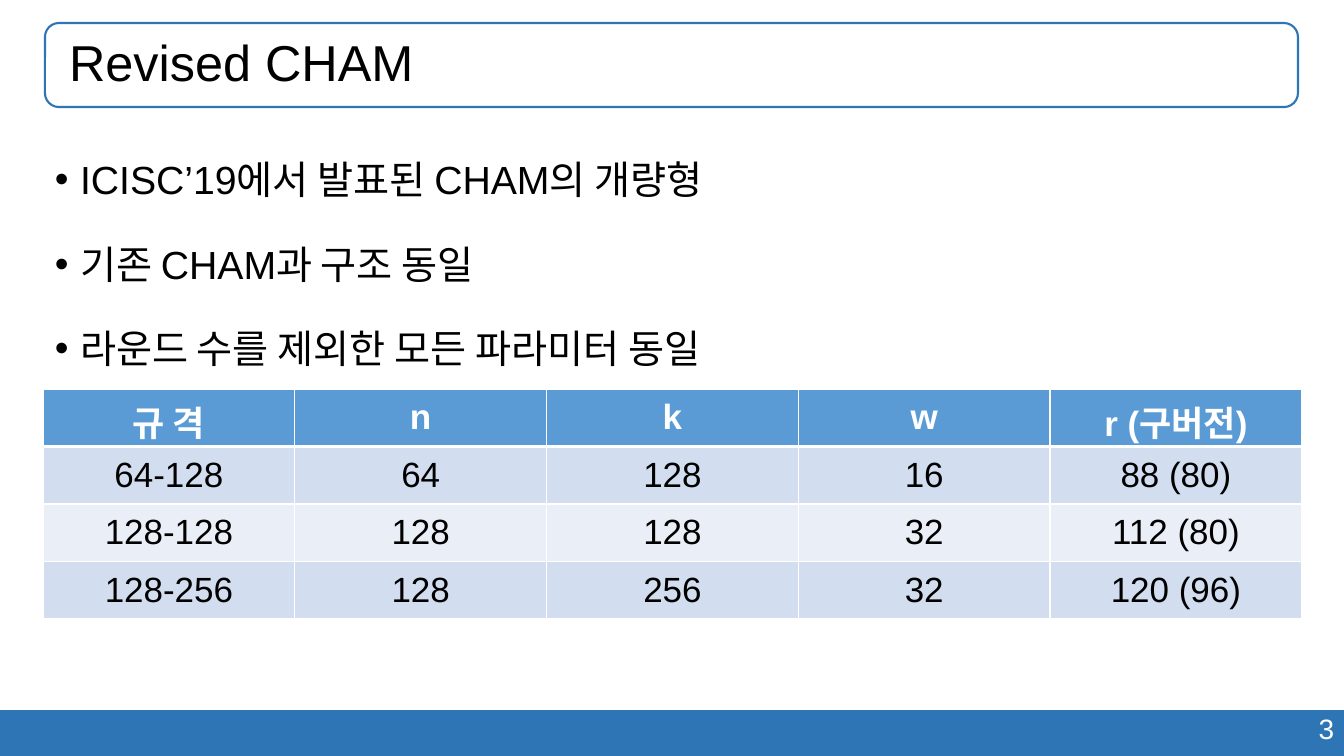
from lxml import etree
from pptx import Presentation, util as u
from pptx.dml.color import RGBColor
from pptx.enum import shapes, text
from pptx.oxml import ns

WIDE, HIGH = 1344, 756
SCALE = 12192000 / WIDE
FONT = "Arial"
BLACK = RGBColor(0, 0, 0)
WHITE = RGBColor(255, 255, 255)
BLUE = RGBColor(0x2E, 0x75, 0xB6)
HEAD = RGBColor(0x5B, 0x9B, 0xD5)
BANDS = [RGBColor(0xD2, 0xDE, 0xEF), RGBColor(0xEA, 0xEF, 0xF7)]

TITLE = "Revised CHAM"
POINTS = [
    "ICISC’19에서 발표된 CHAM의 개량형",
    "기존 CHAM과 구조 동일",
    "라운드 수를 제외한 모든 파라미터 동일",
]
ROWS = [
    ["규 격", "n", "k", "w", "r (구버전)"],
    ["64-128", "64", "128", "16", "88 (80)"],
    ["128-128", "128", "128", "32", "112 (80)"],
    ["128-256", "128", "256", "32", "120 (96)"],
]


def px(size):
    return u.Emu(round(size * SCALE))


def place(box):
    return [px(side) for side in box]


def write(para, words, size, color, bold=False):
    run = para.add_run()
    run.text = words
    font = run.font
    font.name, font.size, font.bold = FONT, u.Pt(size), bold
    font.color.rgb = color


def node(up, tag, **attrs):
    return etree.SubElement(up, ns.qn(tag), attrs)


def panel(slide, kind, box):
    shape = slide.shapes.add_shape(kind, *place(box))
    shape.shadow.inherit = False
    return shape


def footer(slide, box, number):
    left, top, wide, high = box
    bar = panel(slide, shapes.MSO_SHAPE.RECTANGLE, box)
    bar.fill.solid()
    bar.fill.fore_color.rgb = BLUE
    bar.line.fill.background()
    label = slide.shapes.add_textbox(*place((left + wide - 393, top - 3, 393, 44)))
    frame = label.text_frame
    frame.word_wrap = True
    para = frame.paragraphs[0]
    para.alignment = text.PP_ALIGN.RIGHT
    write(para, number, 20, WHITE)


def header(slide, box, words):
    edge = panel(slide, shapes.MSO_SHAPE.ROUNDED_RECTANGLE, box)
    edge.fill.background()
    edge.line.color.rgb = BLUE
    edge.line.width = u.Pt(1.5)
    title = slide.shapes.title
    title.left, title.top, title.width, title.height = place(box)
    tree = title.element.getparent()
    tree.append(title.element)
    frame = title.text_frame
    frame.auto_size = text.MSO_AUTO_SIZE.NONE
    frame.vertical_anchor = text.MSO_ANCHOR.MIDDLE
    frame.margin_left = px(24)
    para = frame.paragraphs[0]
    para.alignment = text.PP_ALIGN.LEFT
    para.line_spacing = 0.9
    write(para, words, 36, BLACK)


def bullets(slide, box, points):
    frame = slide.shapes.add_textbox(*place(box)).text_frame
    frame.word_wrap = True
    for i, words in enumerate(points):
        para = frame.add_paragraph() if i else frame.paragraphs[0]
        para.line_spacing = 1.5
        if i:
            para.space_before = u.Pt(10)
        props = para._p.get_or_add_pPr()
        props.set("marL", str(u.Inches(0.25)))
        props.set("indent", str(-u.Inches(0.25)))
        node(props, "a:buFont", typeface=FONT)
        node(props, "a:buChar", char="•")
        write(para, words, 28, BLACK)


def borders(cell, base):
    props = cell._tc.get_or_add_tcPr()
    for side, size in (("L", 1), ("R", 1), ("T", 1), ("B", base)):
        line = node(props, "a:ln" + side, w=str(u.Pt(size)))
        node(node(line, "a:solidFill"), "a:srgbClr", val=str(WHITE))


def grid(slide, box, rows):
    high = box[3]
    table = slide.shapes.add_table(len(rows), len(rows[0]), *place(box)).table
    for r, row in enumerate(rows):
        table.rows[r].height = px(high / len(rows))
        for c, words in enumerate(row):
            cell = table.cell(r, c)
            borders(cell, 1 if r else 3)
            cell.fill.solid()
            cell.fill.fore_color.rgb = BANDS[(r - 1) % 2] if r else HEAD
            cell.margin_left = cell.margin_right = px(14)
            cell.margin_top = cell.margin_bottom = px(7)
            cell.vertical_anchor = text.MSO_ANCHOR.MIDDLE
            para = cell.text_frame.paragraphs[0]
            para.alignment = text.PP_ALIGN.CENTER
            write(para, words, 25, BLACK if r else WHITE, not r)


def main():
    deck = Presentation()
    deck.slide_width, deck.slide_height = px(WIDE), px(HIGH)
    slide = deck.slides.add_slide(deck.slide_layouts[5])
    footer(slide, (0, 710, WIDE, 46), "3")
    header(slide, (45, 23, 1253, 84), TITLE)
    bullets(slide, (45, 127, 1253, 557), POINTS)
    grid(slide, (43, 389, 1259, 230), ROWS)
    deck.save("out.pptx")


if __name__ == "__main__":
    main()
